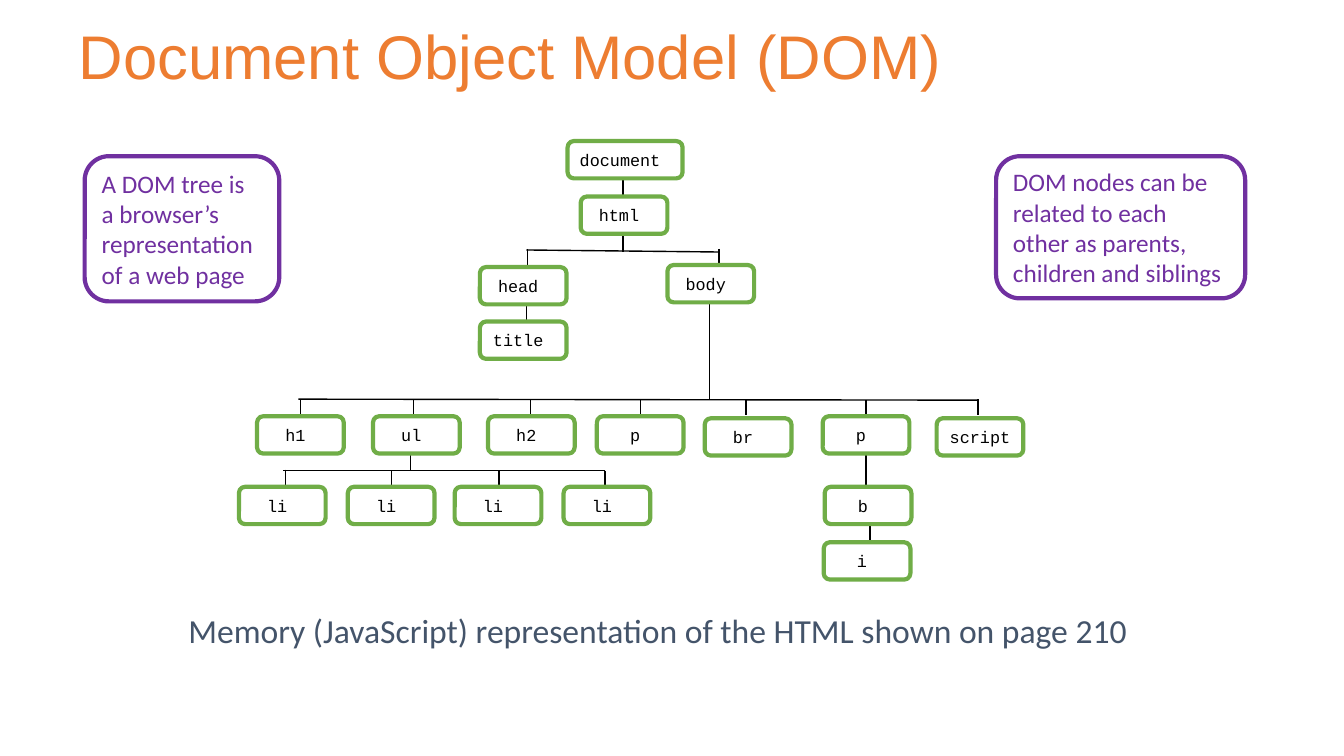
from dataclasses import dataclass

from lxml import etree
from pptx import Presentation
from pptx import util as u
from pptx.dml.color import RGBColor
from pptx.enum import shapes, text
from pptx.oxml import ns


@dataclass(frozen=True)
class Theme:
    """Colours, fonts and sizes of the slide."""
    orange: str = "ED7D31"
    green: str = "70AD47"
    purple: str = "7030A0"
    slate: str = "44546A"
    black: str = "000000"
    white: str = "FFFFFF"
    head: str = "Arial"
    body: str = "Calibri"
    code: str = "Courier New"
    title: int = 44
    foot: int = 24
    note: int = 18
    node: int = 12
    edge: int = 3
    link: int = 1


T = Theme()
LEFT, MID = text.PP_ALIGN.LEFT, text.PP_ALIGN.CENTER
WIDE, TALL, STUB = 0.86, 0.37, 0.16
ROW, LEAF = 4.13, 4.83

# label, left, top of every node of standard width
NODES = [
    ("html", 5.76, 1.95), ("head", 4.76, 2.65), ("body", 6.62, 2.63),
    ("title", 4.76, 3.19),
    ("h1", 2.55, ROW), ("ul", 3.7, ROW), ("h2", 4.84, ROW), ("p", 5.92, ROW),
    ("br", 6.99, ROW + 0.02), ("p", 8.16, ROW), ("script", 9.29, ROW + 0.02),
    ("li", 2.37, LEAF), ("li", 3.45, LEAF), ("li", 4.51, LEAF), ("li", 5.59, LEAF),
    ("b", 8.18, LEAF), ("i", 8.17, 5.38),
]
# top of the short links, then their x positions
STUBS = {
    1.77: [6.18], 2.34: [6.18], 2.47: [5.23, 7.13], 3.02: [5.22],
    3.96: [2.98, 5.26, 7.4, 9.7], 3.97: [4.1, 6.35, 8.59],
    4.5: [4.07], 4.66: [2.83], 4.67: [3.88, 4.95, 6], 5.2: [8.63],
}
# x1, y1, x2, y2 of sibling rails and long drops
RAILS = [
    (5.22, 2.48, 7.13, 2.5), (2.96, 3.96, 9.7, 3.97), (2.81, 4.67, 6, 4.67),
    (7.04, 3, 7.04, 3.97), (8.59, 4.51, 8.59, LEAF),
]


def write(shape, words, face, size, tint, align=LEFT, anchor="MIDDLE"):
    """Put formatted text in a shape and return its paragraph."""
    frame = shape.text_frame
    frame.text = words
    para = frame.paragraphs[0]
    para.alignment = align
    looks = {"word_wrap": True, "auto_size": text.MSO_AUTO_SIZE.NONE,
             "vertical_anchor": text.MSO_ANCHOR[anchor]}
    for key, val in looks.items():
        setattr(frame, key, val)
    font = para.runs[0].font
    for key, val in {"name": face, "size": u.Pt(size)}.items():
        setattr(font, key, val)
    font.color.rgb = RGBColor.from_string(tint)
    return para


def box(slide, at, tint):
    """Add a white rounded box with a coloured edge."""
    shape = slide.shapes.add_shape(
        shapes.MSO_SHAPE.ROUNDED_RECTANGLE, *map(u.Inches, at))
    shape.shadow.inherit = False
    shape.fill.solid()
    shape.fill.fore_color.rgb = RGBColor.from_string(T.white)
    shape.line.color.rgb = RGBColor.from_string(tint)
    shape.line.width = u.Pt(T.edge)
    return shape


def node(slide, label, x, y, wide=WIDE):
    """Add one tree node; its label keeps a closing space."""
    write(box(slide, (x, y, wide, TALL), T.green), label + " ",
          T.code, T.node, T.black, MID)


def note(slide, words, at):
    """Add a purple side note."""
    write(box(slide, at, T.purple), words, T.body, T.note, T.purple)


def link(slide, *ends):
    """Add a thin straight line between two points."""
    line = slide.shapes.add_connector(
        shapes.MSO_CONNECTOR.STRAIGHT, *map(u.Inches, ends))
    line.line.color.rgb = RGBColor.from_string(T.black)
    line.line.width = u.Pt(T.link)
    etree.SubElement(line.element.spPr, ns.qn("a:effectLst"))


def title(slide, words, at):
    """Place and format the title placeholder."""
    shape = slide.shapes.title
    for key, val in zip(("left", "top", "width", "height"), at):
        setattr(shape, key, u.Inches(val))
    para = write(shape, words, T.head, T.title, T.orange, anchor="BOTTOM")
    para.line_spacing = 0.9


def foot(slide, words, at):
    """Add the caption below the tree."""
    shape = slide.shapes.add_textbox(*map(u.Inches, at))
    write(shape, words, T.body, T.foot, T.slate, anchor="TOP")


def tree(slide):
    """Draw the links, then the nodes over them."""
    for y, row in STUBS.items():
        for x in row:
            link(slide, x, y, x, y + STUB)
    for rail in RAILS:
        link(slide, *rail)
    node(slide, "document", 5.63, 1.4, 1.14)
    for item in NODES:
        node(slide, *item)


def main():
    """Build and save the slide."""
    deck = Presentation()
    deck.slide_width, deck.slide_height = u.Inches(13.33), u.Inches(7.5)
    slide = deck.slides.add_slide(deck.slide_layouts.get_by_name("Title Only"))
    title(slide, "Document Object Model (DOM)", (0.68, 0.2, 8.84, 0.77))
    tree(slide)
    note(slide, "A DOM tree is a browser’s representation of a web page",
         (0.84, 1.55, 1.93, 1.44))
    note(slide, "DOM nodes can be related to each other as parents, "
         "children and siblings ", (9.88, 1.55, 2.47, 1.41))
    foot(slide, "Memory (JavaScript) representation of the HTML shown on page 210",
         (1.77, 6, 9.7, 0.51))
    deck.save("out.pptx")


main()
